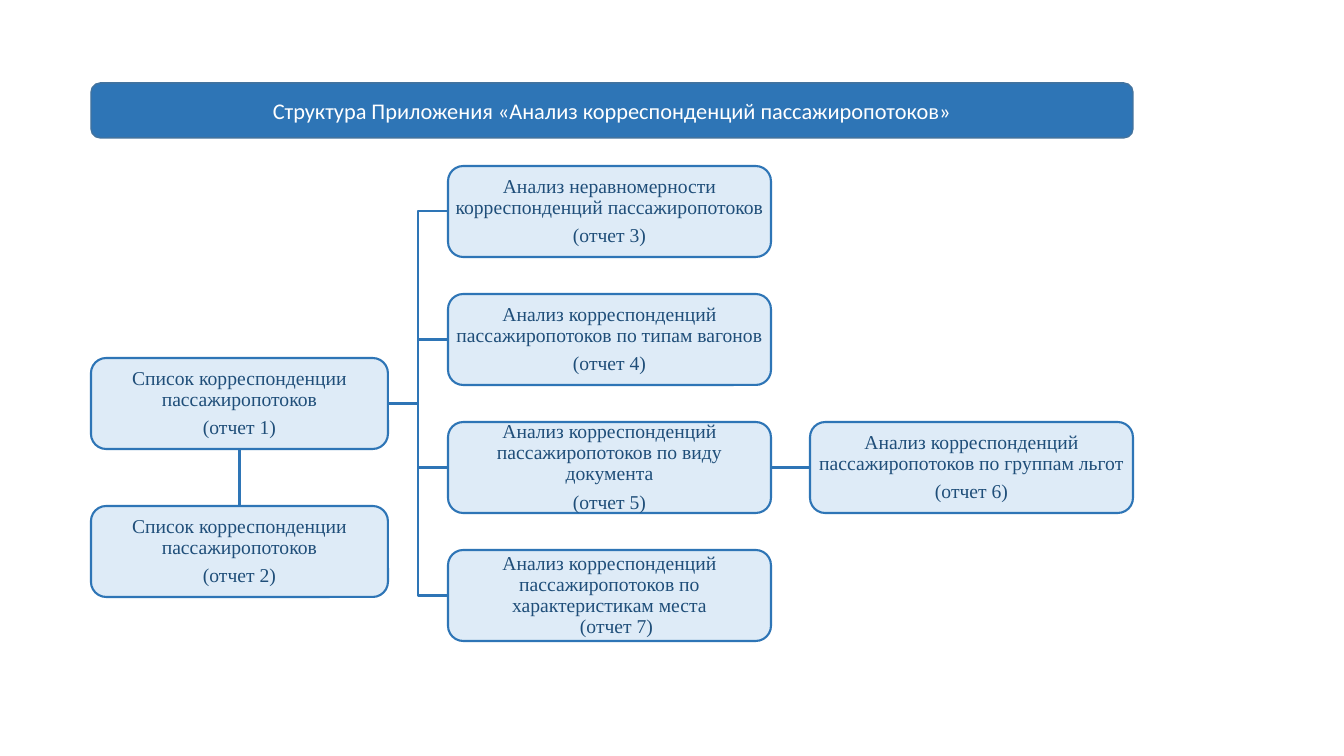
import pptx
import pptx.util
import pptx.dml.color
import pptx.enum.shapes
import pptx.enum.text
import lxml.etree

TITLE = "Структура Приложения «Анализ корреспонденций пассажиропотоков»"

# report number: (column, row, name)
REPORTS = {
    1: ("lists", "upper", "Список корреспонденции пассажиропотоков"),
    2: ("lists", "lower", "Список корреспонденции пассажиропотоков"),
    3: ("analyses", 0, "Анализ неравномерности корреспонденций пассажиропотоков"),
    4: ("analyses", 1, "Анализ корреспонденций пассажиропотоков по типам вагонов"),
    5: ("analyses", 2, "Анализ корреспонденций пассажиропотоков по виду документа"),
    6: ("details", 2, "Анализ корреспонденций пассажиропотоков по группам льгот"),
    7: ("analyses", 3, "Анализ корреспонденций пассажиропотоков по характеристикам места"),
}
TOP, BOTTOM, LEFT, RIGHT = 0, 2, 1, 3
ELBOW = pptx.enum.shapes.MSO_CONNECTOR.ELBOW
STRAIGHT = pptx.enum.shapes.MSO_CONNECTOR.STRAIGHT
# (kind, from report, its side, to report, its side)
LINKS = [(ELBOW, 1, RIGHT, target, LEFT) for target in (3, 4, 5, 7)]
LINKS += [(STRAIGHT, 1, BOTTOM, 2, TOP), (STRAIGHT, 5, RIGHT, 6, LEFT)]

THEME = {
    "accent": "2E75B6", "title_line": "43739E", "box": "DEEBF7",
    "box_text": "1F4E79", "title_text": "FFFFFF",
    "title_font": "Calibri", "box_font": "Times New Roman",
    "title_size": 16, "box_size": 14, "title_stroke": 1, "stroke": 1.5,
}

SLIDE_SIZE = (1344, 756)
TITLE_FRAME = (91, 83, 1042, 55)
COLUMNS = {"lists": (91, 297), "analyses": (448, 323), "details": (810, 323)}
BOX_HEIGHT = 91
ROW_TOP, ROW_STEP = 166, 128
ROWS = {row: ROW_TOP + row * ROW_STEP for row in range(4)}
ROWS["upper"] = (ROWS[1] + ROWS[2]) // 2
ROWS["lower"] = ROWS["upper"] + 148
BOX_INSET = 1
CAPTION_SHIFT = 14  # indent of the caption in the crowded last box


def px(length):
    """Turn pixels into EMU."""
    return pptx.util.Emu(round(length * 914400 / 100.8))


def colour(name):
    """Look up a theme colour."""
    return pptx.dml.color.RGBColor.from_string(THEME[name])


def add_box(slide, frame, fill, line, stroke):
    """Add an empty rounded box with wrapped, vertically centred text."""
    shape = slide.shapes.add_shape(
        pptx.enum.shapes.MSO_SHAPE.ROUNDED_RECTANGLE, *map(px, frame))
    shape.shadow.inherit = False
    shape.fill.solid()
    shape.fill.fore_color.rgb = colour(fill)
    shape.line.color.rgb = colour(line)
    shape.line.width = pptx.util.Pt(THEME[stroke])
    shape.text_frame.word_wrap = True
    shape.text_frame.vertical_anchor = pptx.enum.text.MSO_ANCHOR.MIDDLE
    return shape


def style_paragraph(paragraph, role):
    """Centre a paragraph and give it the font of its role."""
    paragraph.alignment = pptx.enum.text.PP_ALIGN.CENTER
    paragraph.font.name = THEME[role + "_font"]
    paragraph.font.size = pptx.util.Pt(THEME[role + "_size"])
    paragraph.font.color.rgb = colour(role + "_text")


def add_title(slide):
    """Add the banner across the top."""
    shape = add_box(slide, TITLE_FRAME, "accent", "title_line", "title_stroke")
    shape.text_frame.text = TITLE
    style_paragraph(shape.text_frame.paragraphs[0], "title")


def add_report(slide, number, column, row, name):
    """Add one report box with its name and numbered caption."""
    left, width = COLUMNS[column]
    shape = add_box(slide, (left, ROWS[row], width, BOX_HEIGHT),
                    "box", "accent", "stroke")
    frame = shape.text_frame
    frame.margin_left = frame.margin_right = px(BOX_INSET)
    frame.margin_top = frame.margin_bottom = px(BOX_INSET)
    frame.text = f"{name}\n(отчет {number})"
    crowded = number == 7
    for paragraph in frame.paragraphs:
        style_paragraph(paragraph, "box")
        paragraph.line_spacing = 0.9
        paragraph.space_after = pptx.util.Pt(0 if crowded else 5)
    if crowded:
        properties = frame.paragraphs[-1].font._element.getparent()
        properties.set("marL", str(px(CAPTION_SHIFT)))
    return shape


def add_link(slide, kind, start, start_side, end, end_side):
    """Join two report boxes at the given sides."""
    connector = slide.shapes.add_connector(kind, 0, 0, 0, 0)
    connector.begin_connect(start, start_side)
    connector.end_connect(end, end_side)
    connector.line.color.rgb = colour("accent")
    connector.line.width = pptx.util.Pt(THEME["stroke"])
    namespace = "http://schemas.openxmlformats.org/drawingml/2006/main"
    lxml.etree.SubElement(connector._element.spPr, f"{{{namespace}}}effectLst")


presentation = pptx.Presentation()
presentation.slide_width, presentation.slide_height = map(px, SLIDE_SIZE)
slide = presentation.slides.add_slide(presentation.slide_layouts[6])
add_title(slide)
boxes = {number: add_report(slide, number, *report)
         for number, report in REPORTS.items()}
for kind, start, start_side, end, end_side in LINKS:
    add_link(slide, kind, boxes[start], start_side, boxes[end], end_side)
presentation.save("out.pptx")
